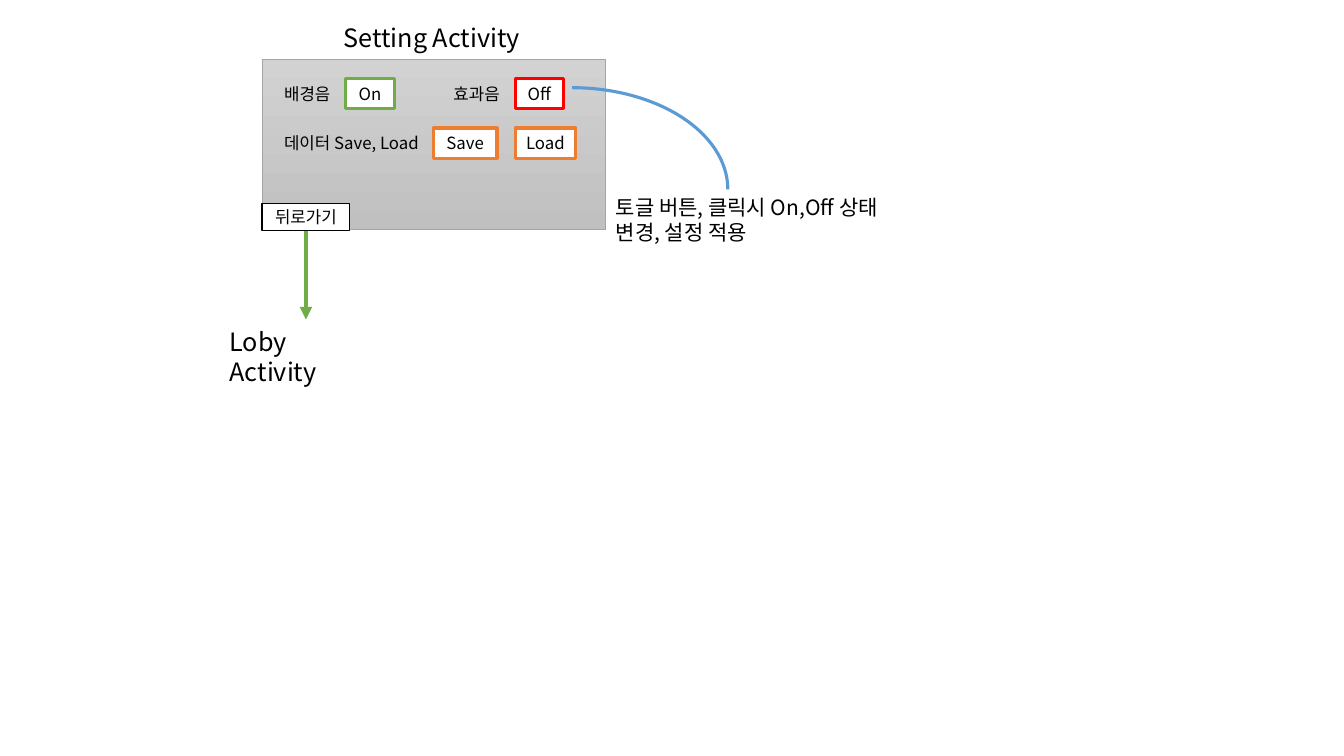
from dataclasses import dataclass
from typing import Optional

from lxml import etree
from pptx import Presentation
from pptx.dml.color import RGBColor
from pptx.enum.shapes import MSO_CONNECTOR, MSO_SHAPE
from pptx.enum.text import MSO_ANCHOR, MSO_AUTO_SIZE, PP_ALIGN
from pptx.oxml.ns import qn
from pptx.util import Emu, Inches, Pt

RECT, ARC = MSO_SHAPE.RECTANGLE, MSO_SHAPE.ARC
STRAIGHT = MSO_CONNECTOR.STRAIGHT
MIDDLE, CENTER, LEFT = MSO_ANCHOR.MIDDLE, PP_ALIGN.CENTER, PP_ALIGN.LEFT
GROW = MSO_AUTO_SIZE.SHAPE_TO_FIT_TEXT
BOTTOM = 2


@dataclass(frozen=True)
class Theme:
    font: str = "Noto Sans CJK KR"
    ink: str = "000000"
    paper: str = "FFFFFF"
    top: str = "D2D2D2"
    base: str = "C0C0C0"
    edge: str = "A5A5A5"
    green: str = "70AD47"
    red: str = "FF0000"
    orange: str = "ED7D31"
    blue: str = "5B9BD5"
    head: float = 18
    note: float = 15
    body: float = 12
    hair: float = 0.5
    thin: float = 1
    bold: float = 2.25
    thick: float = 3


@dataclass(frozen=True)
class Box:
    """Place and size in percent of the slide's width and height."""
    x: float
    y: float
    w: float
    h: float


@dataclass(frozen=True)
class Label:
    text: str
    box: Box
    size: float


@dataclass(frozen=True)
class Button:
    text: str
    box: Box
    color: str
    width: float


THEME = Theme()
deck = Presentation()
deck.slide_width, deck.slide_height = Inches(13.33), Inches(7.5)
slide = deck.slides.add_slide(deck.slide_layouts[6])
shapes = slide.shapes


def across(share: float) -> Emu:
    return Emu(round(deck.slide_width * share / 100))


def down(share: float) -> Emu:
    return Emu(round(deck.slide_height * share / 100))


def place(box: Box) -> tuple[Emu, Emu, Emu, Emu]:
    return across(box.x), down(box.y), across(box.w), down(box.h)


def write(frame, text: str, size: float, align: PP_ALIGN) -> None:
    frame.word_wrap = True
    para = frame.paragraphs[0]
    para.alignment = align
    run = para.add_run()
    run.text = text
    run.font.name = THEME.font
    run.font.size = Pt(size)
    run.font.color.rgb = RGBColor.from_string(THEME.ink)
    # East Asian letters take their own typeface entry
    etree.SubElement(run.font._element, qn("a:ea"), typeface=THEME.font)


def stroke(line, color: str, width: float) -> None:
    line.color.rgb = RGBColor.from_string(color)
    line.width = Pt(width)


def add_form(kind: MSO_SHAPE, box: Box, color: str, width: float):
    form = shapes.add_shape(kind, *place(box))
    form.shadow.inherit = False
    stroke(form.line, color, width)
    return form


def add_label(label: Label) -> None:
    frame = shapes.add_textbox(*place(label.box)).text_frame
    write(frame, label.text, label.size, LEFT)
    frame.auto_size = GROW


def add_button(button: Button):
    form = add_form(RECT, button.box, button.color, button.width)
    form.fill.solid()
    form.fill.fore_color.rgb = RGBColor.from_string(THEME.paper)
    form.text_frame.vertical_anchor = MIDDLE
    write(form.text_frame, button.text, THEME.body, CENTER)
    return form


def add_arrow(start, end: float, color: str) -> None:
    mid = start.left + start.width // 2
    arrow = shapes.add_connector(STRAIGHT, mid, start.top + start.height, mid, down(end))
    arrow.begin_connect(start, BOTTOM)
    stroke(arrow.line, color, THEME.thick)
    etree.SubElement(arrow.line._get_or_add_ln(), qn("a:tailEnd"), type="triangle")
    etree.SubElement(arrow._element.spPr, qn("a:effectLst"))


# Grid of the settings panel
EDGE, TAB, SIDE = 19.5, 20.4, 38.33
SOUND, DATA, TALL = 10.4, 16.93, 4.0
NAME, TOGGLE = 5.33, 3.6

# Panel with a vertical grey gradient
panel = add_form(RECT, Box(EDGE, 7.87, 25.58, 22.53), THEME.edge, THEME.hair)
panel.fill.gradient()
panel.fill.gradient_angle = 270
for stop, tone in zip(panel.fill.gradient_stops, (THEME.top, THEME.base)):
    stop.color.rgb = RGBColor.from_string(tone)

# Back button and its way to the lobby
back = add_button(Button("뒤로가기", Box(EDGE, 26.93, 6.53, 3.6), THEME.ink, THEME.thin))
add_arrow(back, 42.27, THEME.green)

# Titles, setting names and the note
LABELS = (
    Label("Setting Activity", Box(24.83, 2.27, 14.93, 5.33), THEME.head),
    Label("Loby Activity", Box(16.35, 42.53, 12.53, 5.33), THEME.head),
    Label("배경음", Box(TAB, SOUND, NAME, TALL), THEME.body),
    Label("효과음", Box(SIDE - NAME, SOUND, NAME, TALL), THEME.body),
    Label("데이터 Save, Load", Box(TAB, DATA, 11.85, TALL), THEME.body),
    Label("토글 버튼, 클릭시 On,Off 상태 변경, 설정 적용",
          Box(45.08, 25.07, 23.48, 8.13), THEME.note),
)
for label in LABELS:
    add_label(label)

# Setting buttons
BUTTONS = (
    Button("On", Box(TAB + NAME, SOUND, TOGGLE, TALL), THEME.green, THEME.bold),
    Button("Off", Box(SIDE, SOUND, TOGGLE, TALL), THEME.red, THEME.bold),
    Button("Save", Box(32.25, DATA, 4.73, TALL), THEME.orange, THEME.bold),
    Button("Load", Box(SIDE, DATA, 4.5, TALL), THEME.orange, THEME.bold),
)
for button in BUTTONS:
    add_button(button)

# Curve from the toggle to its note
curve = add_form(ARC, Box(30.98, 11.6, 23.18, 26.93), THEME.blue, THEME.bold)
curve.fill.background()

deck.save("out.pptx")
